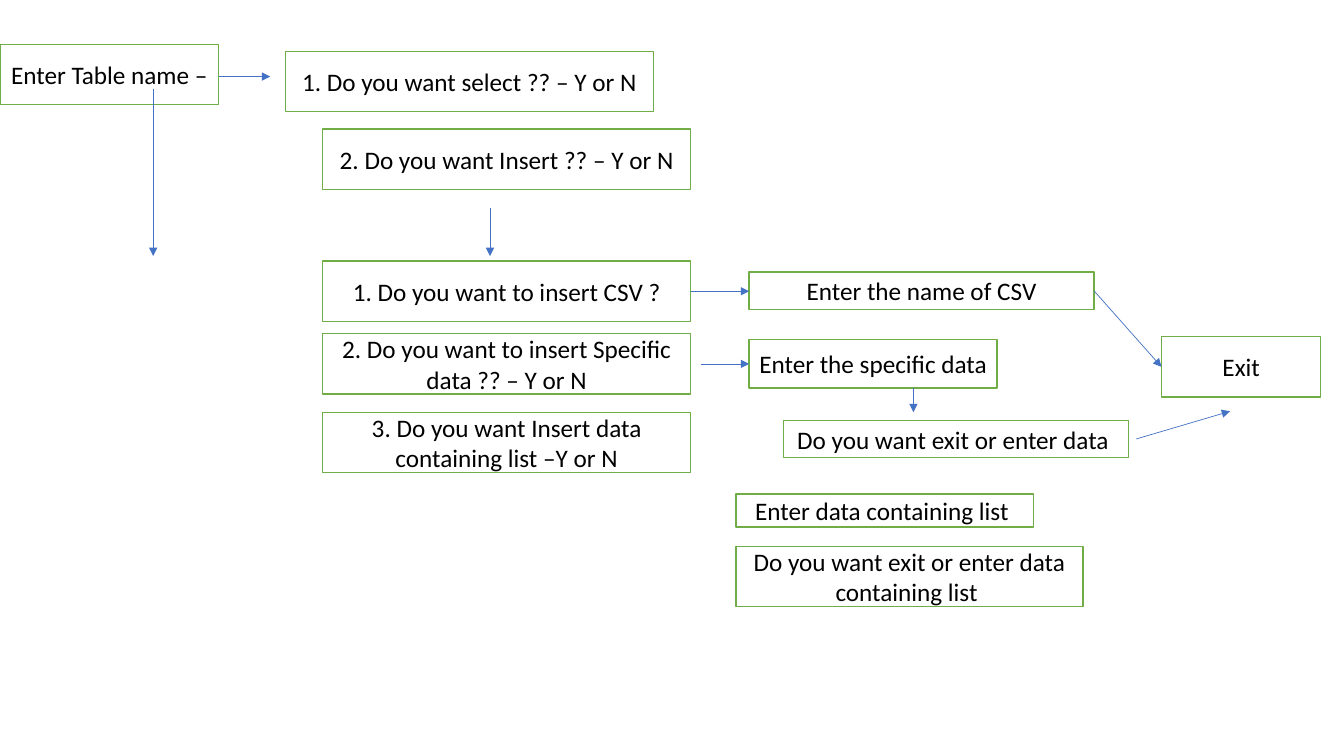
from dataclasses import dataclass

from lxml import etree
from pptx import Presentation, util as u
from pptx.dml.color import RGBColor
from pptx.enum import shapes, text
from pptx.oxml.ns import qn

WHITE = RGBColor(0xFF, 0xFF, 0xFF)
BLACK = RGBColor(0, 0, 0)
GREEN = RGBColor(0x70, 0xAD, 0x47)
BLUE = RGBColor(0x44, 0x72, 0xC4)

CELL = u.Inches(0.1)  # one column or row of the layout grid
MENU_COL, PROMPT_COL, LIST_COL = 32, 74.3, 73
MENU_COLS, ANSWER_COLS = 36.5, 34.2
STEP_ROWS, ANSWER_ROWS = 6, 3.7


@dataclass(frozen=True)
class Step:
    """A flowchart box, measured in grid columns and rows."""
    wording: str
    col: float
    row: float
    cols: float = MENU_COLS
    rows: float = STEP_ROWS

    @property
    def right(self) -> float:
        return self.col + self.cols

    @property
    def bottom(self) -> float:
        return self.row + self.rows

    @property
    def middle(self) -> float:
        return self.row + self.rows / 2


@dataclass(frozen=True)
class Arrow:
    """An arrow between two grid points."""
    col: float
    row: float
    end_col: float
    end_row: float


def grid(count: float) -> int:
    """Turn a number of grid cells into a slide length."""
    return u.Emu(round(count * CELL))


def write(frame, wording: str, *, size: float = 18, font: str = "Calibri",
          color: RGBColor = BLACK, align=text.PP_ALIGN.CENTER,
          anchor=text.MSO_ANCHOR.MIDDLE) -> None:
    """Put formatted wording into a text frame."""
    frame.word_wrap = True
    frame.vertical_anchor = anchor
    paragraph = frame.paragraphs[0]
    paragraph.alignment = align
    run = paragraph.add_run()
    run.text = wording
    run.font.size = u.Pt(size)
    run.font.name = font
    run.font.color.rgb = color


def draw_step(slide, step: Step) -> None:
    """Draw one outlined box with its wording."""
    box = slide.shapes.add_shape(
        shapes.MSO_SHAPE.RECTANGLE,
        *map(grid, (step.col, step.row, step.cols, step.rows)))
    box.shadow.inherit = False
    box.fill.solid()
    box.fill.fore_color.rgb = WHITE
    box.line.color.rgb = GREEN
    box.line.width = u.Pt(1)
    write(box.text_frame, step.wording)


def draw_arrow(slide, arrow: Arrow) -> None:
    """Draw one thin line with a triangle at its end."""
    line = slide.shapes.add_connector(
        shapes.MSO_CONNECTOR.STRAIGHT,
        *map(grid, (arrow.col, arrow.row, arrow.end_col, arrow.end_row)))
    line.line.color.rgb = BLUE
    line.line.width = u.Pt(0.5)
    etree.SubElement(line.line._get_or_add_ln(), qn("a:tailEnd"), type="triangle")
    etree.SubElement(line._element.spPr, qn("a:effectLst"))


table_name = Step("Enter Table name – ", 0, 4.4, 21.7)
select = Step("1. Do you want select ?? – Y or N", 28.3, 5.1)
insert = Step("2. Do you want Insert ?? – Y or N", MENU_COL, 12.8)
insert_csv = Step("1. Do you want to insert CSV ?", MENU_COL, 25.9)
insert_specific = Step("2. Do you want to insert Specific data ?? – Y or N",
                       MENU_COL, 33.1)
insert_list = Step("3. Do you want Insert data containing list –Y or N",
                   MENU_COL, 40.9)
csv_name = Step("Enter the name of CSV", PROMPT_COL, 27, ANSWER_COLS, ANSWER_ROWS)
leave = Step("Exit", 115.2, 33.4, 15.8)
specific_data = Step("Enter the specific data ", PROMPT_COL, 33.7, 24.6, 4.8)
exit_or_data = Step("Do you want exit or enter data ", 77.7, 41.7,
                    ANSWER_COLS, ANSWER_ROWS)
list_data = Step("Enter data containing list ", LIST_COL, 49, 29.5, 3.3)
exit_or_list = Step("Do you want exit or enter data containing list ",
                    LIST_COL, 54.2, 34.4)

STEPS = (table_name, select, insert, insert_csv, insert_specific, insert_list,
         csv_name, leave, specific_data, exit_or_data, list_data, exit_or_list)

ARROWS = (
    Arrow(table_name.right, 7.6, 26.8, 7.6),
    Arrow(15.2, 8.8, 15.2, 25.4),
    Arrow(48.6, 20.6, 48.6, 25.4),
    Arrow(insert_csv.right, insert_csv.middle, csv_name.col, insert_csv.middle),
    Arrow(csv_name.right, csv_name.middle, leave.col, leave.middle),
    Arrow(69.5, specific_data.middle, specific_data.col, specific_data.middle),
    Arrow(90.6, specific_data.bottom, 90.6, 40.9),
    Arrow(112.7, exit_or_data.middle, 122, 40.8),
)

deck = Presentation()
deck.slide_width, deck.slide_height = u.Inches(13.33), u.Inches(7.5)
flowchart = deck.slides.add_slide(deck.slide_layouts[6])
for flow_step in STEPS:
    draw_step(flowchart, flow_step)
for flow_arrow in ARROWS:
    draw_arrow(flowchart, flow_arrow)
deck.save("out.pptx")
